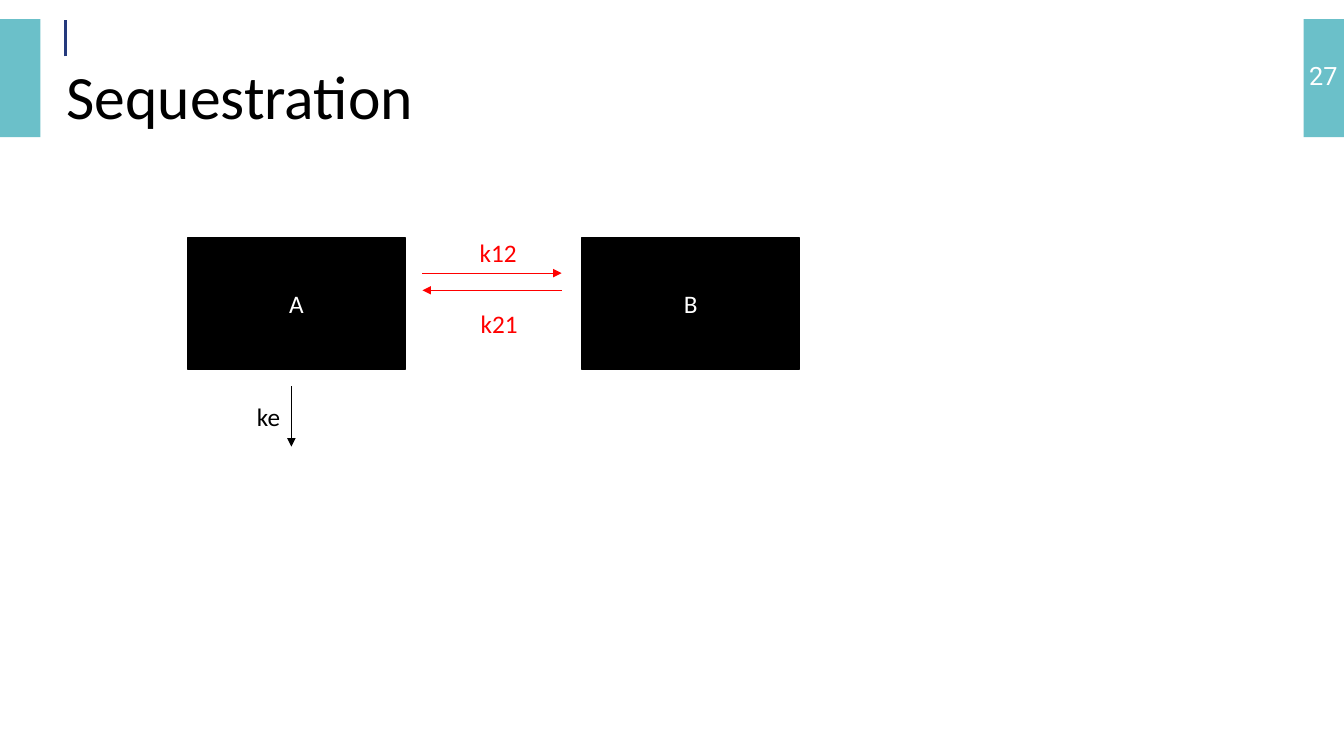
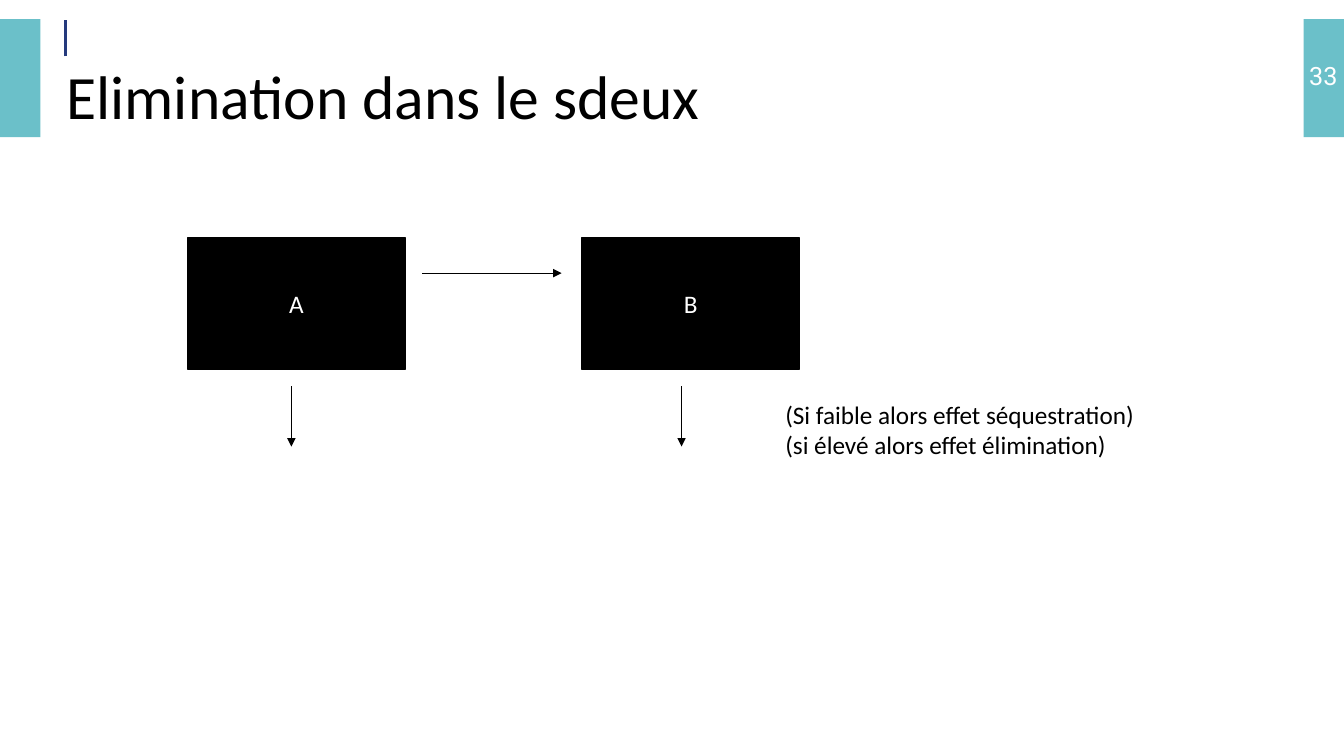
"""Build two slides on compartment models: sequestration and elimination."""
from dataclasses import dataclass

from lxml.etree import SubElement
from pptx import Presentation
from pptx.dml.color import RGBColor
from pptx.enum.shapes import MSO_CONNECTOR, MSO_SHAPE
from pptx.enum.text import MSO_ANCHOR, MSO_AUTO_SIZE, PP_ALIGN
from pptx.oxml.ns import qn
from pptx.shapes.autoshape import Shape
from pptx.shapes.connector import Connector
from pptx.slide import Slide
from pptx.text.text import TextFrame
from pptx.util import Inches, Pt


@dataclass(frozen=True)
class Theme:
    """Colours, fonts and type sizes of the deck."""
    band: RGBColor = RGBColor(0x52, 0xB5, 0xC0)
    band_opacity: int = 85
    rule: RGBColor = RGBColor(0x25, 0x3A, 0x7D)
    black: RGBColor = RGBColor(0, 0, 0)
    white: RGBColor = RGBColor(255, 255, 255)
    red: RGBColor = RGBColor(255, 0, 0)
    font: str = "Calibri"
    number_font: str = "Roboto"
    title_size: int = 44
    body_size: int = 18


THEME = Theme()
SLIDE_WIDTH, SLIDE_HEIGHT = 13.33, 7.5
BAND_WIDTH = 0.4
BOX_TOP, BOX_WIDTH, BOX_HEIGHT = 2.36, 2.16, 1.3
BOX_LEFTS = {"A": 1.86, "B": 5.77}


@dataclass(frozen=True)
class Arrow:
    """An arrow from a start point to an end point."""
    start: tuple[float, float]
    end: tuple[float, float]
    color: RGBColor = THEME.black


@dataclass(frozen=True)
class Label:
    """A free text with its place and colour."""
    text: str
    left: float
    top: float
    width: float
    height: float = 0.4
    color: RGBColor = THEME.black


@dataclass(frozen=True)
class Page:
    """The content of one slide."""
    title: str
    number: int
    arrows: tuple[Arrow, ...]
    labels: tuple[Label, ...]


FORWARD, BACKWARD = ((4.19, 2.71), (5.57, 2.71)), ((5.57, 2.88), (4.19, 2.88))
EXIT_A, EXIT_B = (((x, 3.83), (x, 4.43)) for x in (2.89, 6.76))

PAGES = (
    Page(
        "Sequestration", 27,
        (Arrow(*FORWARD, THEME.red), Arrow(*BACKWARD, THEME.red), Arrow(*EXIT_A)),
        (
            Label("ke", 2.45, 3.93, 0.43),
            Label("k12", 4.66, 2.31, 0.57, color=THEME.red),
            Label("k21", 4.67, 3.01, 0.57, color=THEME.red),
        ),
    ),
    Page(
        "Elimination dans le sdeux", 33,
        (Arrow(*FORWARD), Arrow(*EXIT_A), Arrow(*EXIT_B)),
        (
            Label(
                "(Si faible alors effet séquestration)\n(si élevé alors effet élimination)",
                7.69, 3.91, 3.71, 0.71,
            ),
        ),
    ),
)


def write(frame: TextFrame, text: str, color: RGBColor, size: int = THEME.body_size,
          font: str = THEME.font, align: PP_ALIGN = PP_ALIGN.LEFT) -> None:
    """Fill a text frame and format all its runs."""
    frame.text = text
    for para in frame.paragraphs:
        para.alignment = align
        for span in para.runs:
            span.font.name = font
            span.font.size = Pt(size)
            span.font.color.rgb = color


def add_rectangle(slide: Slide, left: float, top: float, width: float, height: float,
                  color: RGBColor) -> Shape:
    """Add a flat filled rectangle without outline."""
    box = slide.shapes.add_shape(
        MSO_SHAPE.RECTANGLE, Inches(left), Inches(top), Inches(width), Inches(height))
    box.shadow.inherit = False
    box.fill.solid()
    box.fill.fore_color.rgb = color
    box.line.fill.background()
    return box


def add_line(slide: Slide, start: tuple[float, float], end: tuple[float, float],
             color: RGBColor, weight: float) -> Connector:
    """Add a straight line without shadow."""
    line = slide.shapes.add_connector(
        MSO_CONNECTOR.STRAIGHT, *(Inches(value) for value in (*start, *end)))
    line.line.color.rgb = color
    line.line.width = Pt(weight)
    SubElement(line._element.spPr, qn("a:effectLst"))
    return line


def add_arrow(slide: Slide, arrow: Arrow) -> None:
    """Add a thin line with a triangular head at its end."""
    line = add_line(slide, arrow.start, arrow.end, arrow.color, 0.5)
    SubElement(line.line._get_or_add_ln(), qn("a:tailEnd"), type="triangle")


def add_label(slide: Slide, label: Label) -> None:
    """Add an unwrapped text box."""
    box = slide.shapes.add_textbox(
        Inches(label.left), Inches(label.top), Inches(label.width), Inches(label.height))
    box.text_frame.word_wrap = False
    box.text_frame.auto_size = MSO_AUTO_SIZE.SHAPE_TO_FIT_TEXT
    write(box.text_frame, label.text, label.color)


def add_compartment(slide: Slide, name: str, left: float) -> None:
    """Add a named black compartment."""
    box = add_rectangle(slide, left, BOX_TOP, BOX_WIDTH, BOX_HEIGHT, THEME.black)
    box.line.color.rgb = THEME.black
    box.line.width = Pt(1)
    box.text_frame.vertical_anchor = MSO_ANCHOR.MIDDLE
    write(box.text_frame, name, THEME.white, align=PP_ALIGN.CENTER)


def add_frame(slide: Slide, number: int) -> None:
    """Add the side bands, the page number and the title rule."""
    for left in (0, SLIDE_WIDTH - BAND_WIDTH):
        band = add_rectangle(slide, left, 0.19, BAND_WIDTH, 1.17, THEME.band)
        tint = band._element.spPr.find(qn("a:solidFill")).find(qn("a:srgbClr"))
        SubElement(tint, qn("a:alpha"), val=str(THEME.band_opacity * 1000))
    box = slide.shapes.add_textbox(Inches(12.83), Inches(0.55), Inches(0.59), Inches(0.71))
    box.text_frame.word_wrap = True
    write(box.text_frame, str(number), THEME.white, font=THEME.number_font,
          align=PP_ALIGN.CENTER)
    add_line(slide, (0.65, 0.56), (0.65, 0.2), THEME.rule, 1.5)


def set_title(slide: Slide, text: str) -> None:
    """Place and format the title placeholder."""
    title = slide.shapes.title
    title.left, title.top = Inches(0.56), Inches(0.61)
    title.width, title.height = Inches(12.21), Inches(0.75)
    frame = title.text_frame
    frame.margin_left = frame.margin_right = Inches(0.1)
    frame.margin_top = frame.margin_bottom = 0
    frame.vertical_anchor = MSO_ANCHOR.MIDDLE
    frame.auto_size = MSO_AUTO_SIZE.NONE
    write(frame, text, THEME.black, THEME.title_size)
    frame.paragraphs[0].line_spacing = 0.9


def main() -> None:
    """Build and save the deck."""
    deck = Presentation()
    deck.slide_width, deck.slide_height = Inches(SLIDE_WIDTH), Inches(SLIDE_HEIGHT)
    title_only = deck.slide_layouts.get_by_name("Title Only")
    for page in PAGES:
        slide = deck.slides.add_slide(title_only)
        add_frame(slide, page.number)
        set_title(slide, page.title)
        for name, left in BOX_LEFTS.items():
            add_compartment(slide, name, left)
        for arrow in page.arrows:
            add_arrow(slide, arrow)
        for label in page.labels:
            add_label(slide, label)
    deck.save("out.pptx")


if __name__ == "__main__":
    main()
